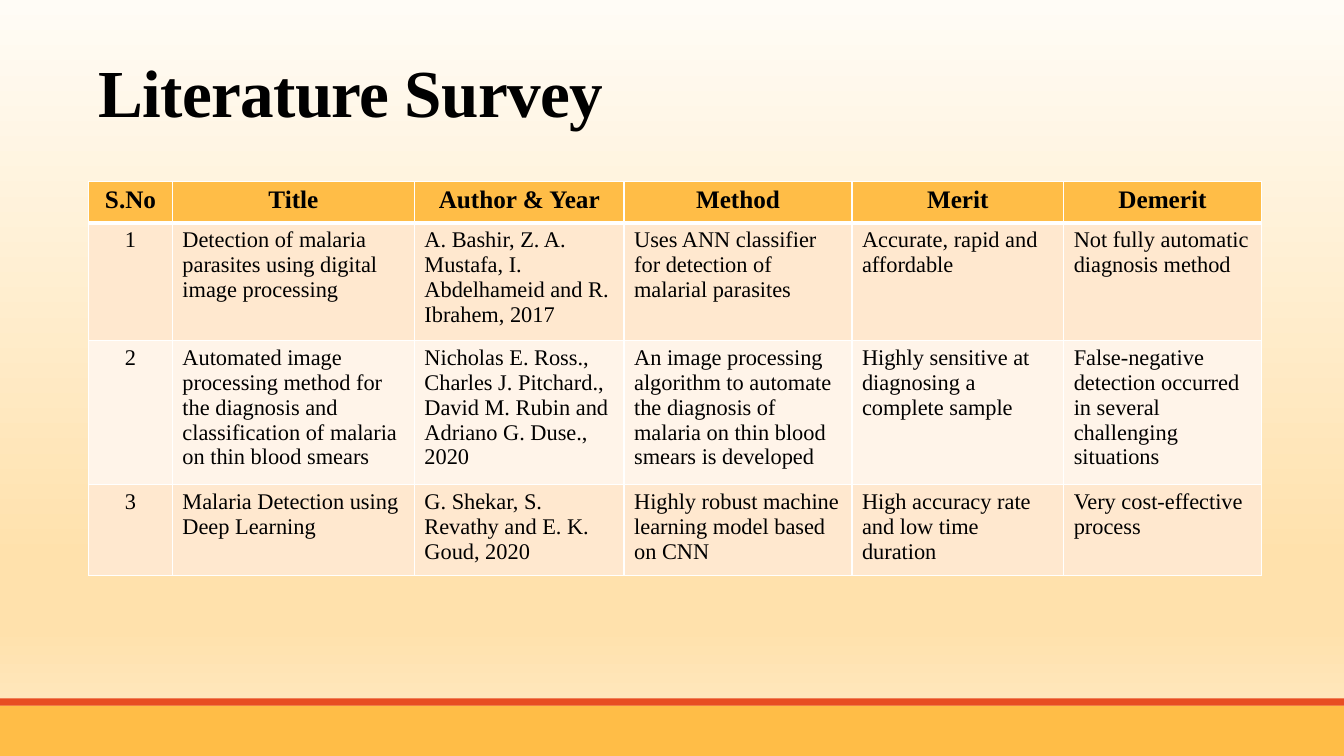
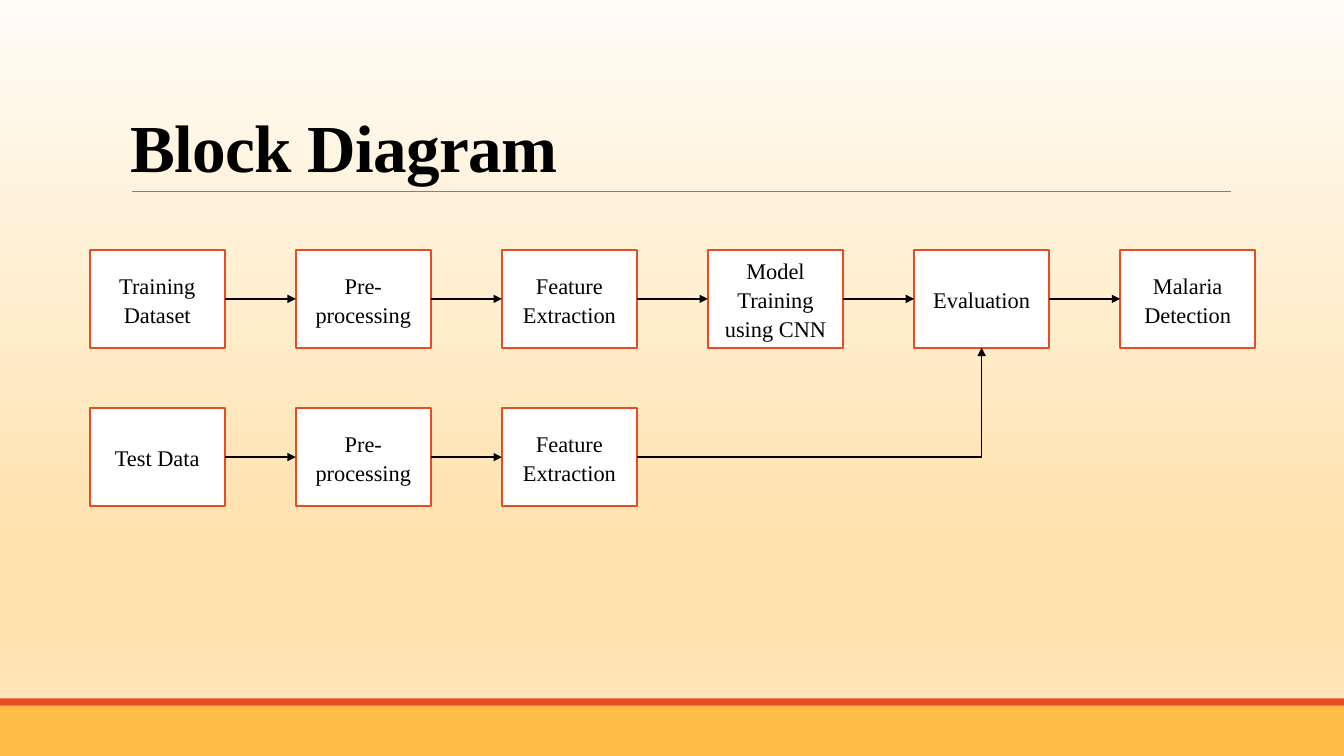
from dataclasses import dataclass

from lxml import etree
from pptx import Presentation
from pptx import util as u
from pptx.dml.color import RGBColor
from pptx.enum import shapes, text
from pptx.oxml.ns import qn

ALIGN = text.PP_ALIGN
ANCHOR = text.MSO_ANCHOR
TOP_SITE, LEFT_SITE, BOTTOM_SITE, RIGHT_SITE = range(4)


@dataclass(frozen=True)
class Theme:
    font: str = "Times New Roman"
    ink: str = "000000"
    white: str = "FFFFFF"
    amber: str = "FFBD47"
    red: str = "E84C22"
    rule: str = "808080"
    row_fills: tuple = ("FFE8CF", "FFF4E9")
    background: tuple = ((0, "FFFCF6"), (74, "FFE1AC"), (83, "FFE1AC"), (100, "FFEBC8"))
    title_size: int = 48
    header_size: int = 18
    body_size: int = 16


THEME = Theme()


def rgb(color):
    return RGBColor.from_string(color)


def write(frame, content, size=THEME.body_size, bold=False, align=ALIGN.LEFT,
          anchor=ANCHOR.TOP, line_spacing=None, tracking=None):
    frame.word_wrap = True
    frame.vertical_anchor = anchor
    paragraph = frame.paragraphs[0]
    paragraph.alignment = align
    if line_spacing:
        paragraph.line_spacing = line_spacing
    run = paragraph.add_run()
    run.text = content
    run.font.name = THEME.font
    run.font.size = u.Pt(size)
    run.font.bold = bold
    run.font.color.rgb = rgb(THEME.ink)
    if tracking:
        run._r.get_or_add_rPr().set("spc", str(int(tracking * 100)))


def set_borders(cell, **widths):
    """Draw white cell borders; widths are points keyed by side: L, R, T, B."""
    properties = cell._tc.get_or_add_tcPr()
    for side, width in widths.items():
        line = etree.SubElement(properties, qn(f"a:ln{side}"), w=str(u.Pt(width)))
        fill = etree.SubElement(line, qn("a:solidFill"))
        etree.SubElement(fill, qn("a:srgbClr"), val=THEME.white)


class Deck:
    def __init__(self):
        self.presentation = Presentation()
        self.presentation.slide_width = u.Inches(13.33)
        self.presentation.slide_height = u.Inches(7.5)
        self.slide = None

    def new_slide(self):
        self.slide = self.presentation.slides.add_slide(self.presentation.slide_layouts[6])
        self.paint_background()
        self.rectangle(0, 7, 13.33, 0.5, THEME.amber)
        self.rectangle(0, 6.93, 13.33, 0.07, THEME.red)

    def paint_background(self):
        fill = self.slide.background.fill
        fill.gradient()
        fill.gradient_angle = 270
        stops = self.slide.element.find(".//" + qn("a:gsLst"))
        for stop in list(stops):
            stops.remove(stop)
        for percent, color in THEME.background:
            stop = etree.SubElement(stops, qn("a:gs"), pos=str(percent * 1000))
            etree.SubElement(stop, qn("a:srgbClr"), val=color)

    def rectangle(self, left, top, width, height, fill, line=None):
        shape = self.slide.shapes.add_shape(
            shapes.MSO_SHAPE.RECTANGLE, *map(u.Inches, (left, top, width, height)))
        shape.shadow.inherit = False
        shape.fill.solid()
        shape.fill.fore_color.rgb = rgb(fill)
        if line:
            shape.line.color.rgb = rgb(line)
            shape.line.width = u.Pt(1.25)
        else:
            shape.line.fill.background()
        return shape

    def title(self, content, left, top, width, height):
        box = self.slide.shapes.add_textbox(*map(u.Inches, (left, top, width, height)))
        write(box.text_frame, content, size=THEME.title_size, bold=True,
              anchor=ANCHOR.BOTTOM, line_spacing=0.85, tracking=-0.5)

    def connector(self, kind, color, width, ends=(0, 0, 0, 0)):
        connector = self.slide.shapes.add_connector(kind, *map(u.Inches, ends))
        connector.line.color.rgb = rgb(color)
        connector.line.width = u.Pt(width)
        etree.SubElement(connector._element.spPr, qn("a:effectLst"))
        return connector

    def rule(self, left, right, y):
        self.connector(shapes.MSO_CONNECTOR.STRAIGHT, THEME.rule, 0.5, (left, y, right, y))

    def arrow(self, source, target, bent=False):
        """Join source's right side to target's left side, or to its bottom if bent."""
        kind = shapes.MSO_CONNECTOR.ELBOW if bent else shapes.MSO_CONNECTOR.STRAIGHT
        connector = self.connector(kind, THEME.ink, 1)
        connector.begin_connect(source, RIGHT_SITE)
        connector.end_connect(target, BOTTOM_SITE if bent else LEFT_SITE)
        properties = connector._element.spPr
        if bent:
            properties.find(qn("a:prstGeom")).set("prst", "bentConnector2")
        etree.SubElement(properties.find(qn("a:ln")), qn("a:tailEnd"), type="triangle")

    def block(self, label, left, top, width, height):
        shape = self.rectangle(left, top, width, height, THEME.white, THEME.red)
        write(shape.text_frame, label, align=ALIGN.CENTER, anchor=ANCHOR.MIDDLE,
              line_spacing=1.07)
        return shape

    def table(self, rows, left, top, column_widths, row_heights):
        frame = self.slide.shapes.add_table(
            len(rows), len(column_widths), u.Inches(left), u.Inches(top),
            u.Inches(sum(column_widths)), u.Inches(sum(row_heights)))
        table = frame.table
        table.horz_banding = False
        for column, width in zip(table.columns, column_widths):
            column.width = u.Inches(width)
        for row, height in zip(table.rows, row_heights):
            row.height = u.Inches(height)
        for i, row in enumerate(rows):
            header = i == 0
            for j, content in enumerate(row):
                cell = table.cell(i, j)
                set_borders(cell, L=1, R=1, T=3 if i == 1 else 1, B=3 if header else 1)
                cell.fill.solid()
                cell.fill.fore_color.rgb = rgb(
                    THEME.amber if header else THEME.row_fills[(i - 1) % 2])
                write(cell.text_frame, content, bold=header,
                      size=THEME.header_size if header else THEME.body_size,
                      align=ALIGN.CENTER if header or j == 0 else ALIGN.LEFT)


SURVEY = (
    ("S.No", "Title", "Author & Year", "Method", "Merit", "Demerit"),
    ("1", "Detection of malaria parasites using digital image processing",
     "A. Bashir, Z. A. Mustafa, I. Abdelhameid and R. Ibrahem, 2017",
     "Uses ANN classifier for detection of malarial parasites",
     "Accurate, rapid and affordable",
     "Not fully automatic diagnosis method"),
    ("2", "Automated image processing method for the diagnosis and classification "
          "of malaria on thin blood smears",
     "Nicholas E. Ross., Charles J. Pitchard., David M. Rubin and Adriano G. Duse., 2020",
     "An image processing algorithm to automate the diagnosis of malaria on thin "
     "blood smears is developed",
     "Highly sensitive at diagnosing a complete sample",
     "False-negative detection occurred in several challenging situations"),
    ("3", "Malaria Detection using Deep Learning",
     "G. Shekar, S. Revathy and E. K. Goud, 2020",
     "Highly robust machine learning model based on CNN",
     "High accuracy rate and low time duration",
     "Very cost-effective process"),
)

TRAINING_STEPS = ("Training Dataset", "Pre-processing", "Feature Extraction",
                  "Model Training using CNN", "Evaluation", "Malaria Detection")
TEST_STEPS = ("Test Data", "Pre-processing", "Feature Extraction")


def literature_survey(deck):
    deck.new_slide()
    deck.title("Literature Survey", 0.88, 0.31, 11.32, 1.04)
    deck.table(SURVEY, 0.88, 1.8, column_widths=(0.83, 2.4, 2.08, 2.26, 2.1, 1.96),
               row_heights=(0.41, 1.09, 1.34, 0.84))


def block_row(deck, labels, top):
    """Place labelled blocks at an even pitch and join each to the next."""
    first_left, last_left = 0.89, 11.11
    pitch = (last_left - first_left) / (len(TRAINING_STEPS) - 1)
    blocks = [deck.block(label, first_left + i * pitch, top, 1.34, 0.97)
              for i, label in enumerate(labels)]
    for source, target in zip(blocks, blocks[1:]):
        deck.arrow(source, target)
    return blocks


def block_diagram(deck):
    deck.new_slide()
    deck.rule(1.31, 12.21, 1.9)
    deck.title("Block Diagram", 1.2, 0.31, 11, 1.59)
    training = block_row(deck, TRAINING_STEPS, 2.48)
    test = block_row(deck, TEST_STEPS, 4.05)
    evaluation = training[TRAINING_STEPS.index("Evaluation")]
    deck.arrow(test[-1], evaluation, bent=True)


def main():
    deck = Deck()
    literature_survey(deck)
    block_diagram(deck)
    deck.presentation.save("out.pptx")


if __name__ == "__main__":
    main()
